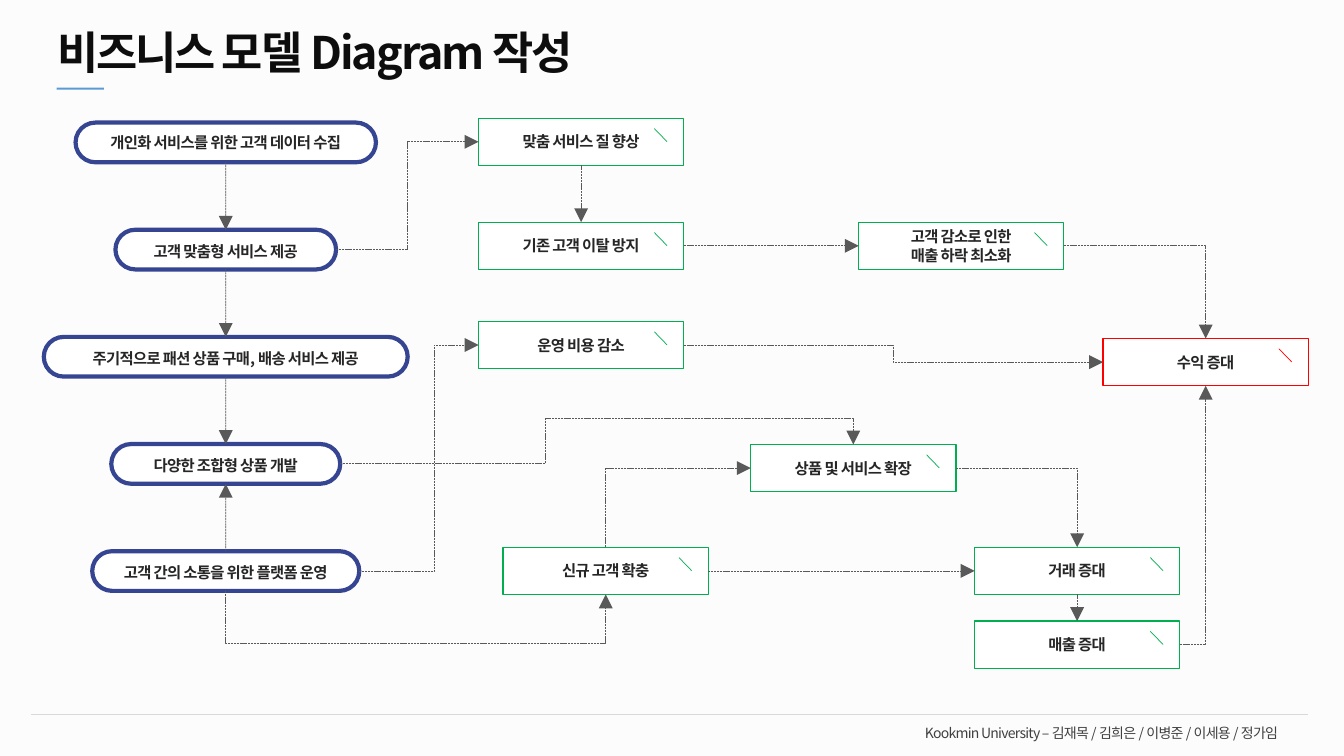
from dataclasses import dataclass
from enum import IntEnum

from lxml.etree import SubElement
from pptx import Presentation
from pptx.dml.color import RGBColor
from pptx.enum.dml import MSO_LINE
from pptx.enum.shapes import MSO_CONNECTOR, MSO_SHAPE
from pptx.enum.text import MSO_ANCHOR, PP_ALIGN
from pptx.oxml.ns import qn
from pptx.shapes.autoshape import Shape
from pptx.shapes.connector import Connector
from pptx.slide import Slide
from pptx.text.text import TextFrame
from pptx.util import Cm, Pt

FONT = "Noto Sans CJK KR"
GREEN, RED, NAVY, GRAY = "00B050", "FF0000", "354592", "595959"
SLIDE_WIDTH, SLIDE_HEIGHT = 33.87, 19.05
PILL_CENTER, PILL_TOP, PILL_STEP, PILL_HEIGHT = 5.69, 3.09, 2.7, 1.0
BOX_WIDTH, BOX_HEIGHT = 5.17, 1.19


class Side(IntEnum):
    TOP = 0
    LEFT = 1
    BOTTOM = 2
    RIGHT = 3


@dataclass
class Pill:
    key: str
    text: str
    width: float
    line_spacing: float | None = 15.6


@dataclass
class Box:
    key: str
    text: str
    left: float
    top: float
    color: str = GREEN


@dataclass
class Link:
    """An arrow; bends are distances in cm from its start, along and then across."""
    start: str
    start_side: Side
    end: str
    end_side: Side
    elbow: str = ""
    bends: tuple[float, ...] = ()


PILLS = [
    Pill("collect", "개인화 서비스를 위한 고객 데이터 수집", 7.57, None),
    Pill("tailor", "고객 맞춤형 서비스 제공", 5.56),
    Pill("deliver", "주기적으로 패션 상품 구매, 배송 서비스 제공", 9.17),
    Pill("combine", "다양한 조합형 상품 개발", 5.77),
    Pill("platform", "고객 간의 소통을 위한 플랫폼 운영", 6.73),
]
BOXES = [
    Box("quality", "맞춤 서비스 질 향상", 12.06, 2.98),
    Box("retain", "기존 고객 이탈 방지", 12.06, 5.6),
    Box("protect", "고객 감소로 인한\n매출 하락 최소화", 21.64, 5.6),
    Box("cost", "운영 비용 감소", 12.06, 8.1),
    Box("profit", "수익 증대", 27.8, 8.53, RED),
    Box("expand", "상품 및 서비스 확장", 18.92, 11.2),
    Box("acquire", "신규 고객 확충", 12.68, 13.79),
    Box("trade", "거래 증대", 24.56, 13.79),
    Box("sales", "매출 증대", 24.56, 15.65),
]
LINKS = [
    Link("collect", Side.BOTTOM, "tailor", Side.TOP),
    Link("tailor", Side.BOTTOM, "deliver", Side.TOP),
    Link("deliver", Side.BOTTOM, "combine", Side.TOP),
    Link("platform", Side.TOP, "combine", Side.BOTTOM),
    Link("quality", Side.BOTTOM, "retain", Side.TOP),
    Link("retain", Side.RIGHT, "protect", Side.LEFT),
    Link("acquire", Side.RIGHT, "trade", Side.LEFT),
    Link("trade", Side.BOTTOM, "sales", Side.TOP),
    Link("tailor", Side.RIGHT, "quality", Side.LEFT, "bentConnector3", (1.8,)),
    Link("platform", Side.RIGHT, "cost", Side.LEFT, "bentConnector3", (1.89,)),
    Link("cost", Side.RIGHT, "profit", Side.LEFT, "bentConnector3", (5.29,)),
    Link("combine", Side.RIGHT, "expand", Side.TOP, "bentConnector4", (5.17, 1.14)),
    Link("platform", Side.BOTTOM, "acquire", Side.BOTTOM, "bentConnector3", (1.31,)),
    Link("acquire", Side.TOP, "expand", Side.LEFT, "bentConnector2"),
    Link("expand", Side.RIGHT, "trade", Side.TOP, "bentConnector2"),
    Link("protect", Side.RIGHT, "profit", Side.TOP, "bentConnector2"),
    Link("sales", Side.RIGHT, "profit", Side.BOTTOM, "bentConnector2"),
]


def rgb(color: str) -> RGBColor:
    return RGBColor.from_string(color)


def write(frame: TextFrame, text: str, *, size: float = 11, color: str = "262626",
          bold: bool = True, align: PP_ALIGN = PP_ALIGN.CENTER, tracking: float = -0.5,
          line_spacing: float | None = None, wrap: bool = True) -> None:
    frame.word_wrap = wrap
    for index, line in enumerate(text.split("\n")):
        paragraph = frame.add_paragraph() if index else frame.paragraphs[0]
        paragraph.alignment = align
        if line_spacing:
            paragraph.line_spacing = Pt(line_spacing)
        run = paragraph.add_run()
        run.text = line
        run.font.size, run.font.bold, run.font.name = Pt(size), bold, FONT
        run.font.color.rgb = rgb(color)
        properties = run.font._element
        properties.set("spc", str(round(tracking * 100)))
        SubElement(properties, qn("a:ea")).set("typeface", FONT)


def add_panel(slide: Slide, kind: MSO_SHAPE, left: float, top: float, width: float,
              height: float, fill: str, line: str = "", weight: float = 1) -> Shape:
    shape = slide.shapes.add_shape(kind, Cm(left), Cm(top), Cm(width), Cm(height))
    shape.shadow.inherit = False
    shape.fill.solid()
    shape.fill.fore_color.rgb = rgb(fill)
    if line:
        shape.line.color.rgb = rgb(line)
        shape.line.width = Pt(weight)
    else:
        shape.line.fill.background()
    shape.text_frame.vertical_anchor = MSO_ANCHOR.MIDDLE
    return shape


def add_line(slide: Slide, left: float, top: float, right: float, bottom: float,
             color: str, weight: float = 0.5,
             kind: MSO_CONNECTOR = MSO_CONNECTOR.STRAIGHT) -> Connector:
    line = slide.shapes.add_connector(kind, Cm(left), Cm(top), Cm(right), Cm(bottom))
    line.line.color.rgb = rgb(color)
    line.line.width = Pt(weight)
    SubElement(line._element.spPr, qn("a:effectLst"))
    return line


def add_pill(slide: Slide, pill: Pill, top: float) -> Shape:
    shape = add_panel(slide, MSO_SHAPE.ROUNDED_RECTANGLE, PILL_CENTER - pill.width / 2, top,
                      pill.width, PILL_HEIGHT, "FFFFFF", NAVY, 3)
    shape.adjustments[0] = 0.5
    write(shape.text_frame, pill.text, line_spacing=pill.line_spacing)
    return shape


def add_box(slide: Slide, box: Box) -> Shape:
    shape = add_panel(slide, MSO_SHAPE.RECTANGLE, box.left, box.top, BOX_WIDTH, BOX_HEIGHT,
                      "FFFFFF", box.color)
    write(shape.text_frame, box.text)
    left, top = box.left + 4.43, box.top + 0.26
    add_line(slide, left, top, left + 0.32, top + 0.33, box.color)
    return shape


def shape_elbow(connector: Connector, link: Link) -> None:
    """Set the preset, turn it when it leaves vertically, and place its bends."""
    properties = connector._element.spPr
    if link.start_side in (Side.TOP, Side.BOTTOM):
        upward = connector.end_y < connector.begin_y
        rightward = connector.end_x > connector.begin_x
        left, top = connector.left, connector.top
        width, height = connector.width, connector.height
        connector.left, connector.top = left + (width - height) // 2, top + (height - width) // 2
        connector.width, connector.height = height, width
        transform = properties.find(qn("a:xfrm"))
        transform.set("rot", str((90 if upward else 270) * 60000))
        transform.set("flipH", "1")
        transform.set("flipV", "1" if upward == rightward else "0")
    geometry = properties.find(qn("a:prstGeom"))
    geometry.set("prst", link.elbow)
    guides = geometry.find(qn("a:avLst"))
    for number, (bend, extent) in enumerate(zip(link.bends, (connector.width, connector.height)), 1):
        guide = SubElement(guides, qn("a:gd"))
        guide.set("name", f"adj{number}")
        guide.set("fmla", f"val {round(Cm(bend) / extent * 100000)}")


def add_link(slide: Slide, link: Link, shapes: dict[str, Shape]) -> None:
    kind = MSO_CONNECTOR.ELBOW if link.elbow else MSO_CONNECTOR.STRAIGHT
    connector = add_line(slide, 0, 0, 1, 1, GRAY, kind=kind)
    connector.begin_connect(shapes[link.start], link.start_side)
    connector.end_connect(shapes[link.end], link.end_side)
    if link.elbow:
        shape_elbow(connector, link)
    connector.line.dash_style = MSO_LINE.SQUARE_DOT
    arrowhead = SubElement(connector.line._get_or_add_ln(), qn("a:tailEnd"))
    for name, value in (("type", "triangle"), ("w", "lg"), ("len", "lg")):
        arrowhead.set(name, value)


def main() -> None:
    presentation = Presentation()
    presentation.slide_width, presentation.slide_height = Cm(SLIDE_WIDTH), Cm(SLIDE_HEIGHT)
    slide = presentation.slides.add_slide(presentation.slide_layouts[6])

    backdrop = add_panel(slide, MSO_SHAPE.RECTANGLE, 0, 0, SLIDE_WIDTH, SLIDE_HEIGHT, "F2F2F2")
    tint = backdrop._element.spPr.find(f"{qn('a:solidFill')}/{qn('a:srgbClr')}")
    SubElement(tint, qn("a:alpha")).set("val", "20000")
    add_line(slide, 0.79, 18.0, 32.97, 18.0, "D9D9D9", 0.75)
    footer = slide.shapes.add_textbox(Cm(23.06), Cm(18.13), Cm(10.13), Cm(0.69))
    write(footer.text_frame, "Kookmin University – 김재목 / 김희은 / 이병준 / 이세용 / 정가임",
          size=10, color="404040", bold=False, align=PP_ALIGN.LEFT)

    title = slide.shapes.add_textbox(Cm(0.86), Cm(0.51), Cm(14.17), Cm(1.63))
    write(title.text_frame, "비즈니스 모델 Diagram 작성", size=32, color="0D0D0D",
          tracking=-1.5, wrap=False)
    add_panel(slide, MSO_SHAPE.RECTANGLE, 1.43, 2.21, 1.19, 0.05, "5B9BD5")

    shapes = {pill.key: add_pill(slide, pill, PILL_TOP + row * PILL_STEP)
              for row, pill in enumerate(PILLS)}
    shapes |= {box.key: add_box(slide, box) for box in BOXES}
    for link in LINKS:
        add_link(slide, link, shapes)
    presentation.save("out.pptx")


if __name__ == "__main__":
    main()
